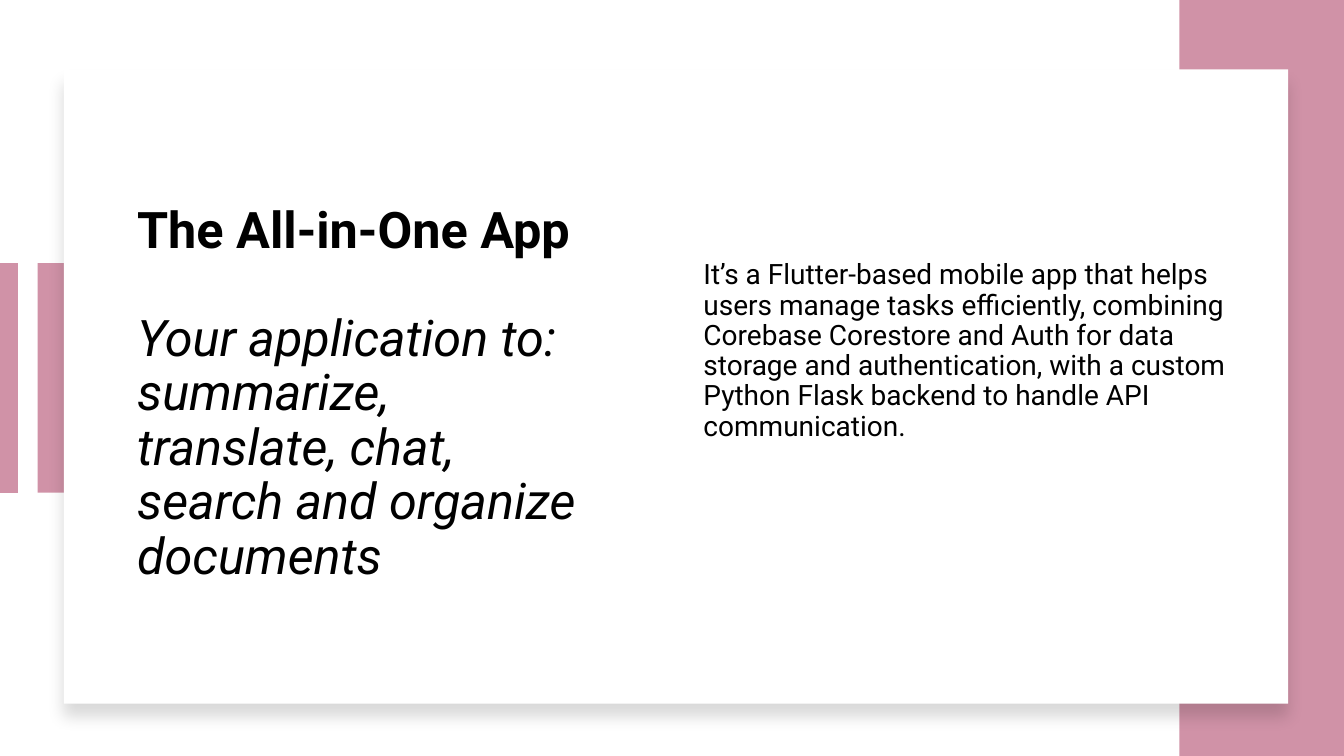
from dataclasses import dataclass

from lxml import etree
from pptx import Presentation
from pptx.dml.color import RGBColor
from pptx.enum.shapes import MSO_CONNECTOR, MSO_SHAPE
from pptx.enum.text import MSO_ANCHOR, PP_ALIGN
from pptx.oxml.ns import qn
from pptx.util import Pt

RECT = MSO_SHAPE.RECTANGLE
LINE = MSO_CONNECTOR.STRAIGHT
MIDDLE = MSO_ANCHOR.MIDDLE
LEFT = PP_ALIGN.LEFT

PINK = RGBColor(0xD0, 0x92, 0xA7)
WHITE = RGBColor(0xFF, 0xFF, 0xFF)
BLACK = RGBColor(0x00, 0x00, 0x00)
FONT = "Roboto"
WIDE, HIGH = 960, 540


@dataclass
class Box:
    left: float
    top: float
    width: float
    height: float
    fill: RGBColor = PINK


@dataclass
class Para:
    text: str
    size: float
    before: float = 0
    bold: bool = False
    italic: bool = False


TAB = Box(26.8, 188, 24.4, 164)
BAND = Box(842.4, 0, 117.6, HIGH)
CARD = Box(45.6, 49.6, 874.6, 453, WHITE)
HEAD = Box(90.7, 98, 339.8, 368.6)
BODY = Box(495.4, 98, 391.7, 368.6)
EDGE_X, EDGE_W = 6, 14

TITLE = [
    Para("The All-in-One App", 36, bold=True),
    Para("Your application to: summarize, translate, chat, "
         "search and organize documents", 36, before=38, italic=True),
]
ABOUT = [
    Para("It’s a Flutter-based mobile app that helps users manage tasks "
         "efficiently, combining Corebase Corestore and Auth for data storage "
         "and authentication, with a custom Python Flask backend to handle "
         "API communication.", 20, before=10),
]


def place(shape, box: Box) -> None:
    shape.left, shape.top = Pt(box.left), Pt(box.top)
    shape.width, shape.height = Pt(box.width), Pt(box.height)


def add_rect(slide, box: Box):
    rect = slide.shapes.add_shape(RECT, 0, 0, 0, 0)
    place(rect, box)
    rect.shadow.inherit = False
    rect.fill.solid()
    rect.fill.fore_color.rgb = box.fill
    rect.line.fill.background()
    return rect


def add_shadow(shape) -> None:
    effects = shape.element.spPr.find(qn("a:effectLst"))
    outer = etree.SubElement(effects, qn("a:outerShdw"), {
        "blurRad": str(Pt(11)), "dist": str(Pt(10)),
        "dir": "5400000", "algn": "t", "rotWithShape": "0"})
    color = etree.SubElement(outer, qn("a:srgbClr"), val=str(BLACK))
    etree.SubElement(color, qn("a:alpha"), val="15000")


def add_edge(slide) -> None:
    edge = slide.shapes.add_connector(
        LINE, Pt(EDGE_X), Pt(TAB.top), Pt(EDGE_X), Pt(TAB.top + TAB.height))
    edge.line.color.rgb = PINK
    edge.line.width = Pt(EDGE_W)
    etree.SubElement(edge.element.spPr, qn("a:effectLst"))


def write(shape, paras: list[Para], bottom: float = 3.6) -> None:
    frame = shape.text_frame
    frame.word_wrap = True
    frame.vertical_anchor = MIDDLE
    frame.margin_left = frame.margin_right = Pt(7.2)
    frame.margin_top, frame.margin_bottom = Pt(3.6), Pt(bottom)
    for i, para in enumerate(paras):
        line = frame.add_paragraph() if i else frame.paragraphs[0]
        line.alignment = LEFT
        line.line_spacing = 0.9
        line.space_before = Pt(para.before)
        run = line.add_run()
        run.text = para.text
        font = run.font
        font.name, font.size = FONT, Pt(para.size)
        font.bold, font.italic = para.bold, para.italic
        font.color.rgb = BLACK


def main() -> None:
    deck = Presentation()
    deck.slide_width, deck.slide_height = Pt(WIDE), Pt(HIGH)
    slide = deck.slides.add_slide(deck.slide_layouts[5])
    slide.background.fill.solid()
    slide.background.fill.fore_color.rgb = WHITE

    # Pink accents and white card
    add_rect(slide, TAB)
    add_edge(slide)
    add_rect(slide, BAND)
    add_shadow(add_rect(slide, CARD))

    # Title, brought in front of the card
    title = slide.shapes.title
    slide.shapes.element.append(title.element)
    place(title, HEAD)
    write(title, TITLE)

    # Description, set above the middle of the card
    about = slide.shapes.add_textbox(0, 0, 0, 0)
    place(about, BODY)
    write(about, ABOUT, bottom=66)

    deck.save("out.pptx")


if __name__ == "__main__":
    main()
